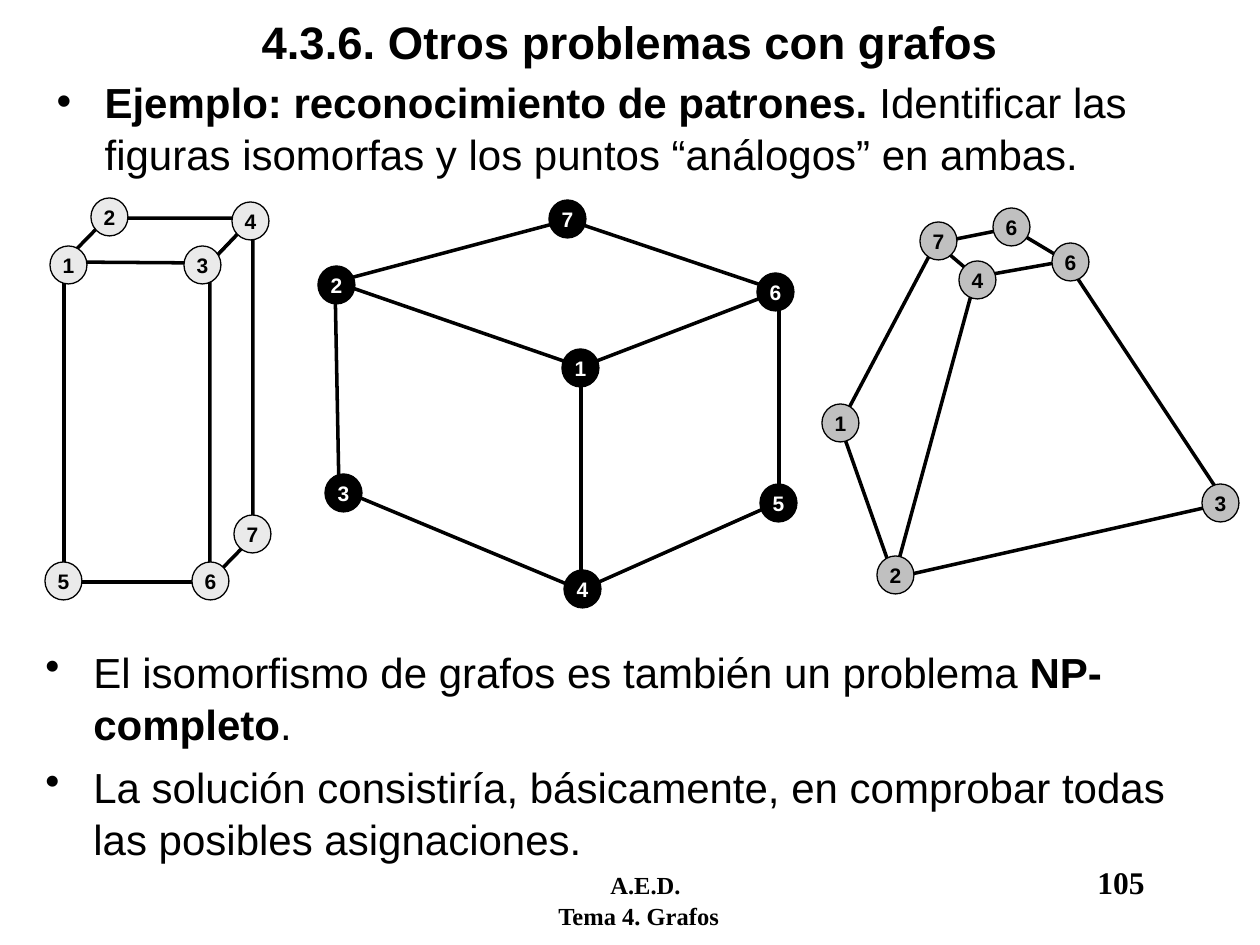
from lxml.etree import SubElement
from pptx import Presentation
from pptx.dml.color import RGBColor
from pptx.enum.shapes import MSO_CONNECTOR, MSO_SHAPE
from pptx.enum.text import MSO_ANCHOR, MSO_AUTO_SIZE, PP_ALIGN
from pptx.oxml.ns import qn
from pptx.util import Emu, Pt

SCALE = 914400 / 126
COLORS = {"ink": "000000", "paper": "FFFFFF", "light": "EAEAEA", "grey": "C0C0C0"}
RGB = {name: RGBColor.from_string(value) for name, value in COLORS.items()}
NODE_WIDTH, NODE_HEIGHT = 37, 38


def px(*lengths):
    return [Emu(round(length * SCALE)) for length in lengths]


def write_list(frame, items):
    """Write bulleted items, each a list of (text, bold) pieces."""
    frame.word_wrap = True
    frame.auto_size = MSO_AUTO_SIZE.NONE
    for index, pieces in enumerate(items):
        item = frame.paragraphs[0] if index == 0 else frame.add_paragraph()
        props = item._p.get_or_add_pPr()
        indent = px(48)[0]
        props.set("marL", str(indent))
        props.set("indent", str(-indent))
        SubElement(props, qn("a:buChar")).set("char", "•")
        item.space_before = Pt(6 if index else 0)
        item.line_spacing = 1.04
        for text, bold in pieces:
            run = item.add_run()
            run.text = text
            run.font.size, run.font.name, run.font.bold = Pt(24), "Arial", bold
            run.font.color.rgb = RGB["ink"]


prs = Presentation()
prs.slide_width, prs.slide_height = px(1260, 945)
slide = prs.slides.add_slide(prs.slide_layouts[1])
shapes = slide.shapes

# Title
title = shapes.title
title.left, title.top, title.width, title.height = px(42, 0, 1176, 82)
title.text_frame.text = "4.3.6. Otros problemas con grafos"
title.text_frame.vertical_anchor = MSO_ANCHOR.MIDDLE
title.text_frame.auto_size = MSO_AUTO_SIZE.NONE
heading = title.text_frame.paragraphs[0]
heading.alignment = PP_ALIGN.CENTER
heading.font.size, heading.font.name, heading.font.bold = Pt(26), "Arial", True
heading.font.color.rgb = RGB["ink"]

# Example above the figures, conclusions below
example = slide.placeholders[1]
example.left, example.top, example.width, example.height = px(44, 68, 1177, 137)
write_list(example.text_frame, [
    [("Ejemplo: reconocimiento de patrones.", True),
     (" Identificar las figuras isomorfas y los puntos “análogos” en ambas.", False)],
])
conclusions = shapes.add_textbox(*px(33, 638, 1192, 226))
write_list(conclusions.text_frame, [
    [("El isomorfismo de grafos es también un problema ", False),
     ("NP-completo", True), (".", False)],
    [("La solución consistiría, básicamente, en comprobar todas las posibles "
      "asignaciones.", False)],
])

# Footer, placed with tab stops
footer = shapes.add_textbox(*px(456, 857, 731, 63)).text_frame
footer.word_wrap = True
footer_lines = [
    ([("\tA.E.D.\t", 14), ("105", 18)], [142, 629]),
    ([("\tTema 4. Grafos", 14)], [90]),
]
for index, (pieces, stops) in enumerate(footer_lines):
    line = footer.paragraphs[0] if index == 0 else footer.add_paragraph()
    tabs = SubElement(line._p.get_or_add_pPr(), qn("a:tabLst"))
    for stop in px(*stops):
        tab = SubElement(tabs, qn("a:tab"))
        tab.set("pos", str(stop))
        tab.set("algn", "l")
    for text, size in pieces:
        run = line.add_run()
        run.text = text
        run.font.size, run.font.name, run.font.bold = Pt(size), "Times New Roman", True
        run.font.color.rgb = RGB["ink"]

# Edges of the cube and the truncated pyramid, as pairs of corners
cube_corners = {"1": (581, 367), "2": (335, 282), "3": (339, 489), "4": (581, 590),
                "5": (779, 502), "6": (779, 291), "7": (568, 220)}
cube_edges = ["32", "21", "16", "14", "43", "45", "56", "27", "76"]
pyramid_corners = {"1": (840, 425), "2": (894, 578), "3": (1226, 503), "4": (976, 277),
                   "r": (1066, 261), "7": (936, 243), "t": (1011, 228)}
pyramid_edges = ["3r", "32", "24", "21", "17", "74", "4r", "rt", "t7"]
for corners, edges in [(cube_corners, cube_edges), (pyramid_corners, pyramid_edges)]:
    for start, end in edges:
        edge = shapes.add_connector(MSO_CONNECTOR.STRAIGHT,
                                    *px(*corners[start], *corners[end]))
        edge.line.color.rgb = RGB["ink"]
        edge.line.width = Pt(2)
        SubElement(edge._element.spPr, qn("a:effectLst"))

# Faces of the box
box_faces = [shapes.add_shape(MSO_SHAPE.RECTANGLE, *px(64, 262, 146, 320))]
top_outline = [(64, 262), (107, 218), (253, 218), (210, 263)]
side_outline = [(210, 263), (210, 581), (253, 537), (253, 218)]
for outline in (top_outline, side_outline):
    builder = shapes.build_freeform(*outline[0], scale=SCALE)
    builder.add_line_segments(outline[1:], close=True)
    box_faces.append(builder.convert_to_shape())
for face in box_faces:
    face.shadow.inherit = False
    face.fill.solid()
    face.fill.fore_color.rgb = RGB["paper"]
    face.line.color.rgb = RGB["ink"]
    face.line.width = Pt(2)

# Numbered nodes: fill, number colour, then (number, left, top)
node_sets = [
    ("light", "ink", [(1, 50, 246), (2, 91, 198), (3, 184, 246), (4, 232, 202),
                      (5, 45, 562), (6, 192, 562), (7, 234, 515)]),
    ("ink", "paper", [(2, 318, 266), (1, 562, 349), (7, 549, 200), (3, 325, 474),
                      (4, 564, 570), (6, 757, 273), (5, 760, 484)]),
    ("grey", "ink", [(4, 959, 261), (6, 1052, 243), (7, 920, 222), (6, 993, 208),
                     (2, 877, 556), (3, 1202, 484), (1, 822, 404)]),
]
for fill, number_color, nodes in node_sets:
    for number, left, top in nodes:
        node = shapes.add_shape(MSO_SHAPE.OVAL, *px(left, top, NODE_WIDTH, NODE_HEIGHT))
        node.shadow.inherit = False
        node.fill.solid()
        node.fill.fore_color.rgb = RGB[fill]
        node.line.color.rgb = RGB["ink"]
        node.line.width = Pt(0.75)
        node.text_frame.text = str(number)
        node.text_frame.word_wrap = False
        node.text_frame.vertical_anchor = MSO_ANCHOR.MIDDLE
        label = node.text_frame.paragraphs[0]
        label.alignment = PP_ALIGN.CENTER
        label.font.size, label.font.name, label.font.bold = Pt(12), "Arial", True
        label.font.color.rgb = RGB[number_color]

prs.save("out.pptx")
